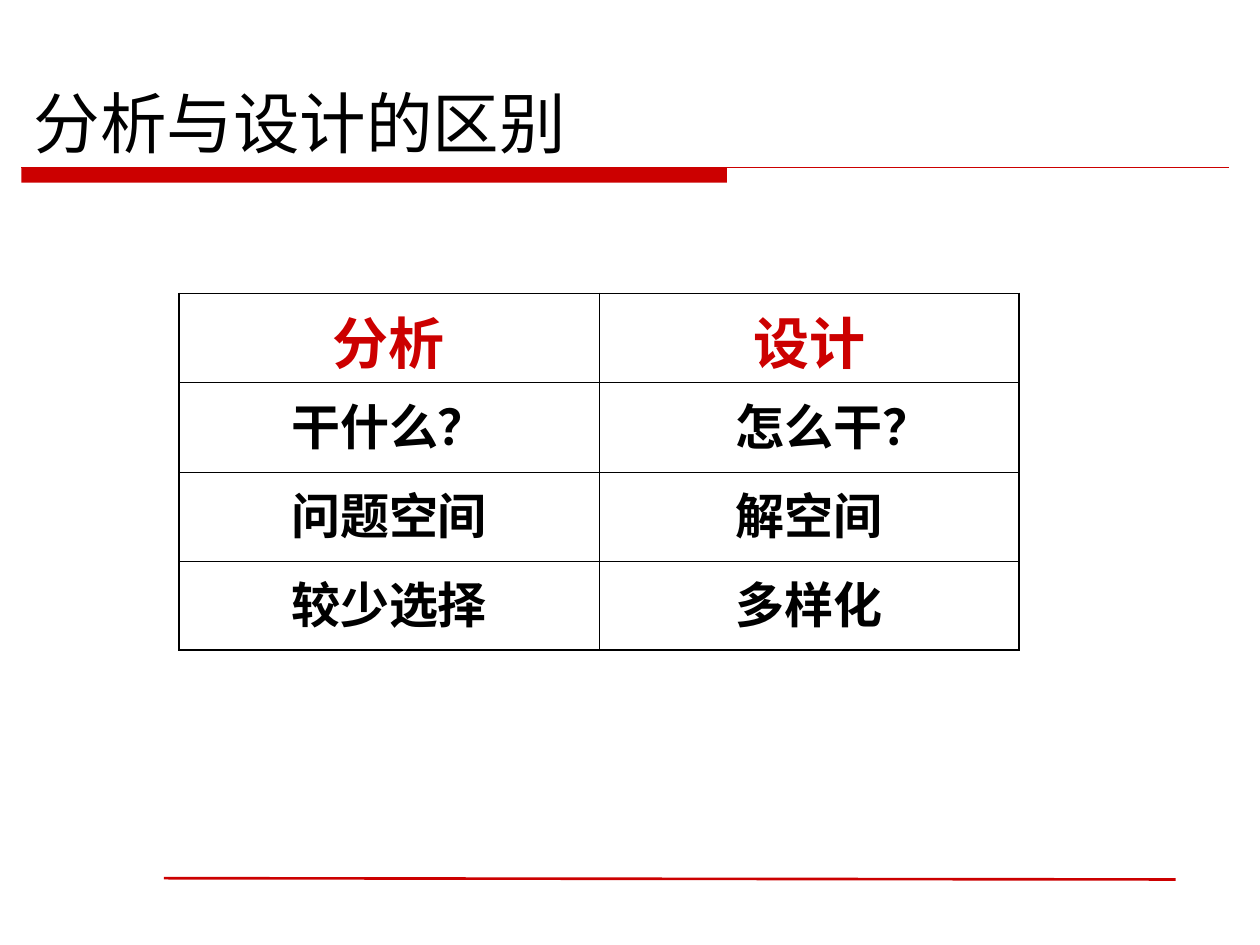
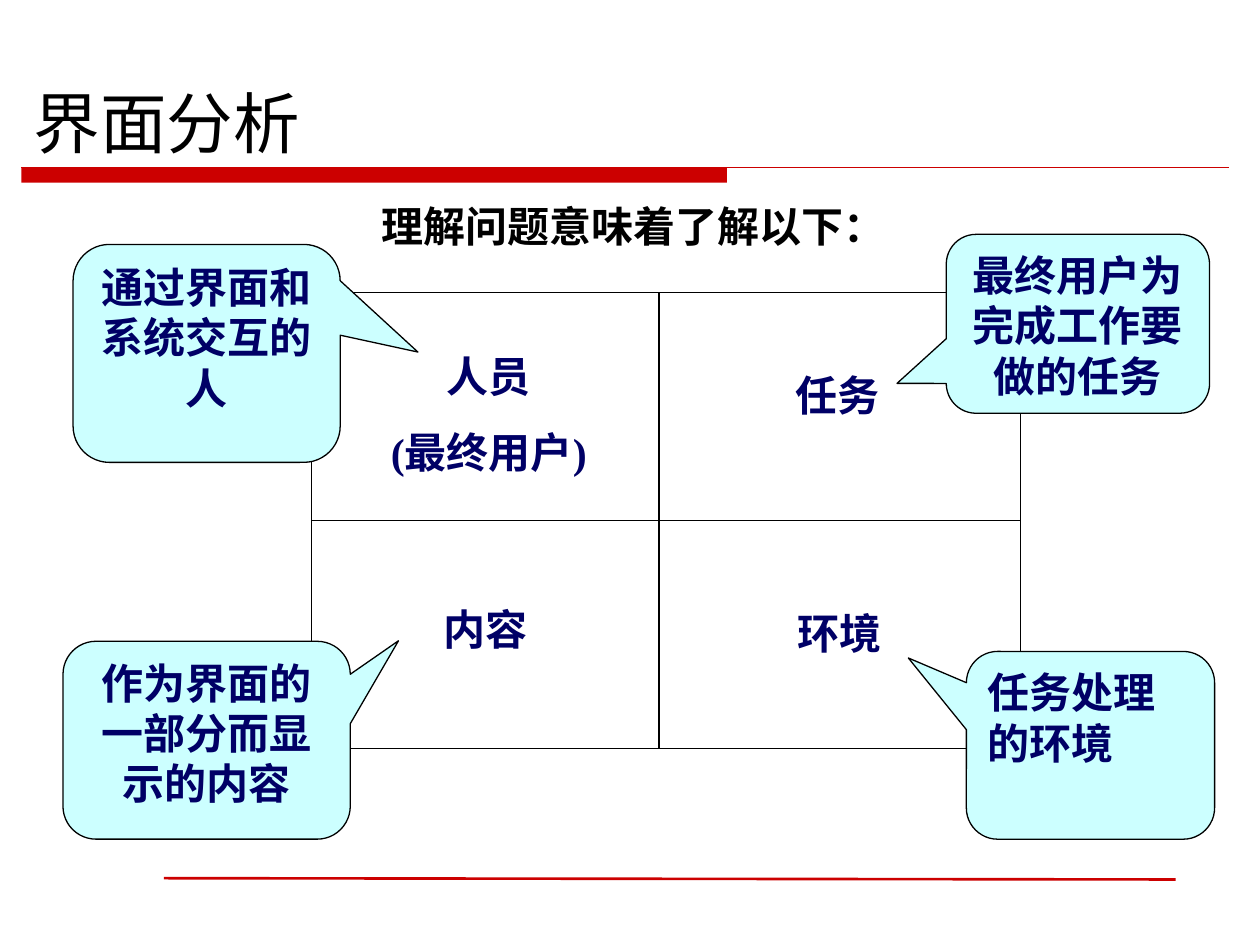
from lxml import etree
from pptx import Presentation
from pptx.dml.color import RGBColor
from pptx.enum.shapes import MSO_CONNECTOR, MSO_SHAPE
from pptx.enum.text import MSO_ANCHOR, PP_ALIGN
from pptx.oxml.ns import qn
from pptx.util import Inches, Pt

# Content
COMPARISON_TITLE = "分析与设计的区别"
COMPARISON = [
    ("分析", "设计"),
    ("干什么？", "怎么干？"),
    ("问题空间", "解空间"),
    ("较少选择", "多样化"),
]
SHIFTED_CELL = (1, 1)

INTERFACE_TITLE = "界面分析"
HEADLINE = ("理解问题意味着了解以下：", (2.47, 1.54, 5.12, 0.5))
QUADRANTS = [
    ("人员\n(最终用户)", (2.7, 2.73, 2.36, 1.11)),
    ("任务", (5.54, 2.88, 2.21, 0.5)),
    ("内容", (2.63, 4.74, 2.44, 0.5)),
    ("环境", (5.26, 4.77, 2.8, 0.5)),
]
# Text, place, pointer offset, alignment
CALLOUTS = [
    ("作为界面的一部分而显示的内容", (0.5, 5.09, 2.28, 1.57), (0.668, -0.503), PP_ALIGN.CENTER),
    ("任务处理的环境", (7.67, 5.17, 1.97, 1.49), (-0.734, -0.465), PP_ALIGN.LEFT),
    ("通过界面和系统交互的人", (0.58, 1.94, 2.12, 1.73), (0.791, -0.006), PP_ALIGN.CENTER),
    ("最终用户为完成工作要做的任务", (7.51, 1.86, 2.09, 1.42), (-0.687, 0.333), PP_ALIGN.CENTER),
]

# Shared style
RED = RGBColor(0xCC, 0x00, 0x00)
NAVY = RGBColor(0x00, 0x00, 0x66)
AQUA = RGBColor(0xCC, 0xFF, 0xFF)
BLACK = RGBColor(0x00, 0x00, 0x00)
WHITE = RGBColor(0xFF, 0xFF, 0xFF)
SANS = "Noto Sans CJK SC"
SERIF = "Times New Roman"


def inches(values):
    return [Inches(value) for value in values]


def write(frame, text, size, color, align=PP_ALIGN.CENTER, font=SERIF, bold=True):
    frame.word_wrap = True
    frame.text = text
    for index, para in enumerate(frame.paragraphs):
        para.alignment = align
        if index:
            para.space_before = Pt(15)
        for span in para.runs:
            span.font.size = Pt(size)
            span.font.bold = bold
            span.font.name = font
            span.font.color.rgb = color
            east_asian = etree.SubElement(span.font._element, qn("a:ea"))
            east_asian.set("typeface", SANS)


def add_text(page, text, place, size, color, **style):
    box = page.shapes.add_textbox(*inches(place))
    write(box.text_frame, text, size, color, **style)
    return box


def add_block(page, preset, place, fill, line=None):
    block = page.shapes.add_shape(preset, *inches(place))
    block.shadow.inherit = False
    block.fill.solid()
    block.fill.fore_color.rgb = fill
    if line is None:
        block.line.fill.background()
    else:
        block.line.color.rgb = line
        block.line.width = Pt(0.75)
    return block


def add_line(page, start, end, color, width=0.75):
    line = page.shapes.add_connector(MSO_CONNECTOR.STRAIGHT, *inches(start + end))
    line.line.color.rgb = color
    line.line.width = Pt(width)
    etree.SubElement(line._element.spPr, qn("a:effectLst"))
    return line


def add_page(deck, title):
    page = deck.slides.add_slide(deck.slide_layouts[6])
    # Title band and footer rule
    add_block(page, MSO_SHAPE.RECTANGLE, (0.17, 1.33, 5.6, 0.12), RED)
    add_line(page, (0.17, 1.33), (9.75, 1.33), RED)
    add_line(page, (1.3, 6.97), (9.33, 6.98), RED, 1.5)
    box = add_text(page, title, (0.17, 0.6, 9.75, 0.73), 38, BLACK,
                   align=PP_ALIGN.LEFT, font=SANS, bold=False)
    box.text_frame.vertical_anchor = MSO_ANCHOR.BOTTOM
    return page


def set_borders(cell, widths):
    properties = cell._tc.get_or_add_tcPr()
    for side, width in widths.items():
        border = etree.SubElement(properties, qn(f"a:ln{side}"), w=str(Pt(width)))
        fill = etree.SubElement(border, qn("a:solidFill"))
        etree.SubElement(fill, qn("a:srgbClr"), val=str(BLACK))


def build_comparison(deck):
    page = add_page(deck, COMPARISON_TITLE)
    rows, columns = len(COMPARISON), len(COMPARISON[0])
    table = page.shapes.add_table(rows, columns, *inches((1.42, 2.33, 6.67, 2.83))).table
    table.first_row = table.horz_banding = False
    outer, inner = 1.08, 0.45
    for r, texts in enumerate(COMPARISON):
        for c, text in enumerate(texts):
            cell = table.cell(r, c)
            set_borders(cell, {
                "L": outer if c == 0 else inner,
                "R": outer if c == columns - 1 else inner,
                "T": outer if r == 0 else inner,
                "B": outer if r == rows - 1 else inner,
            })
            cell.fill.background()
            size, color = (32, RED) if r == 0 else (28, BLACK)
            write(cell.text_frame, text, size, color)
            if (r, c) == SHIFTED_CELL:
                cell.margin_left = Inches(0.48)


def build_interface(deck):
    page = add_page(deck, INTERFACE_TITLE)

    # Four-part frame
    left, top, width, height = 2.47, 2.32, 5.63, 3.62
    right, bottom, middle, divider = left + width, top + height, top + height / 2, 5.23
    frame = add_block(page, MSO_SHAPE.RECTANGLE, (left, top, width, height), WHITE, BLACK)
    add_line(page, (divider, top), (divider, bottom), BLACK)
    across = add_line(page, (left, middle), (right, middle), BLACK)
    across.begin_connect(frame, 1)
    across.end_connect(frame, 3)
    for text, place in QUADRANTS:
        add_text(page, text, place, 24, NAVY)

    # Headline and callouts
    add_text(page, *HEADLINE, 24, BLACK)
    for text, place, pointer, align in CALLOUTS:
        callout = add_block(page, MSO_SHAPE.ROUNDED_RECTANGULAR_CALLOUT, place, AQUA, BLACK)
        callout.adjustments[0], callout.adjustments[1] = pointer
        callout.text_frame.vertical_anchor = MSO_ANCHOR.TOP
        write(callout.text_frame, text, 24, NAVY, align=align)


def main():
    deck = Presentation()
    deck.slide_width, deck.slide_height = Inches(10), Inches(7.5)
    build_comparison(deck)
    build_interface(deck)
    deck.save("out.pptx")


if __name__ == "__main__":
    main()
